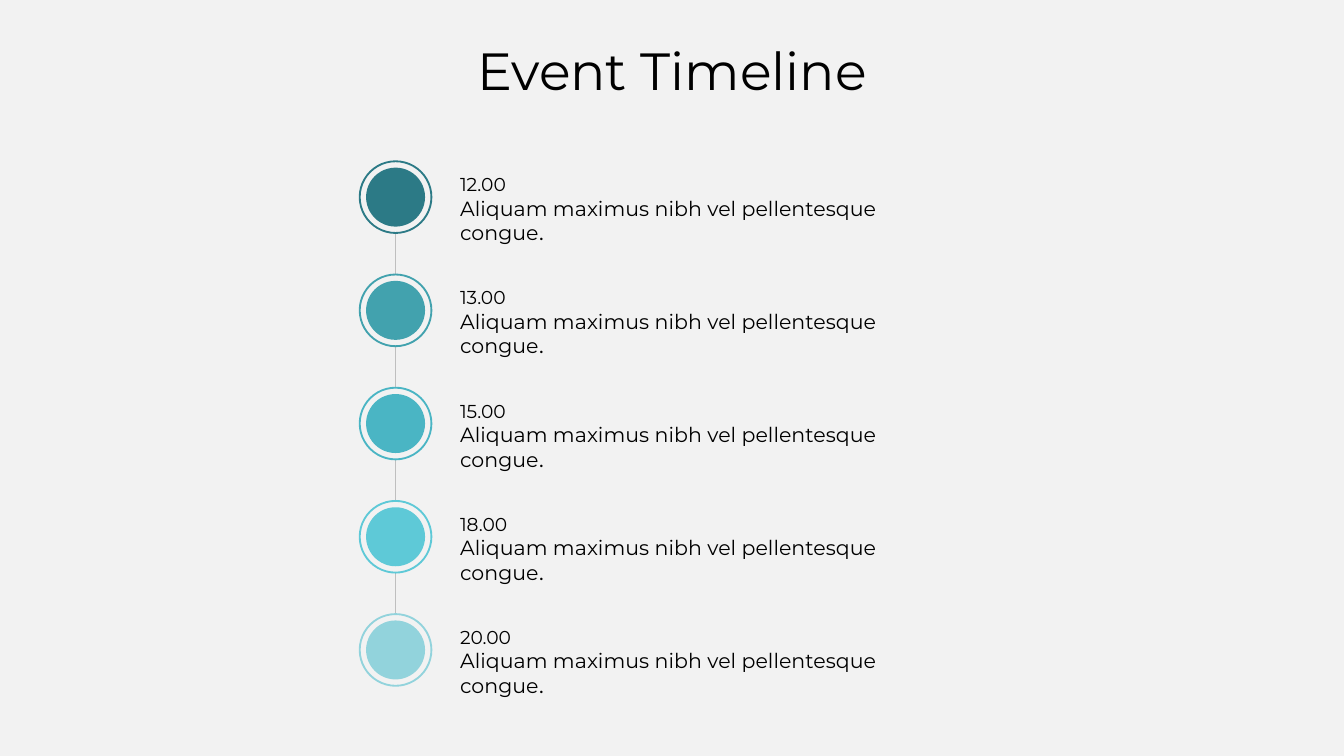
import pptx
import pptx.dml.color
import pptx.enum.shapes
import pptx.enum.text
import pptx.oxml.ns
import pptx.util
from dataclasses import dataclass
from lxml import etree

Pt = pptx.util.Pt
Color = pptx.dml.color.RGBColor.from_string
Shapes = pptx.enum.shapes
Text = pptx.enum.text


@dataclass(frozen=True)
class Theme:
    background: str = "F2F2F2"
    ink: str = "000000"
    connector: str = "BFBFBF"
    font: str = "Montserrat"
    stop_font: str = "Calibri"
    title_size: float = 28
    time_size: float = 10
    body_size: float = 11


theme = Theme()
events = [
    ("12.00", "2C7A86"),
    ("13.00", "42A2AE"),
    ("15.00", "4AB5C4"),
    ("18.00", "5EC9D7"),
    ("20.00", "92D3DC"),
]
description = "Aliquam maximus nibh vel pellentesque congue"

axis_x = 211.9
first_y = 105.6
pitch = 60.65
ring_size = 38.4
disc_size = 31.6


def add_span(para, text, size, font=theme.font):
    span = para.add_run()
    span.text = text
    for name, value in {"size": Pt(size), "name": font}.items():
        setattr(span.font, name, value)
    span.font.color.rgb = Color(theme.ink)


def add_circle(center_y, size):
    """Add a shadowless circle centred on the timeline axis."""
    circle = page.shapes.add_shape(
        Shapes.MSO_SHAPE.OVAL,
        Pt(axis_x - size / 2), Pt(center_y - size / 2), Pt(size), Pt(size))
    circle.shadow.inherit = False
    return circle


deck = pptx.Presentation()
deck.slide_width, deck.slide_height = Pt(720), Pt(405)
page = deck.slides.add_slide(deck.slide_layouts[6])
page.background.fill.solid()
page.background.fill.fore_color.rgb = Color(theme.background)

# Title
title = page.shapes.add_textbox(Pt(49.7), Pt(0), Pt(620.6), Pt(78.5))
title_format = {"word_wrap": True, "vertical_anchor": Text.MSO_ANCHOR.MIDDLE}
for name, value in title_format.items():
    setattr(title.text_frame, name, value)
para = title.text_frame.paragraphs[0]
for name, value in {"alignment": Text.PP_ALIGN.CENTER, "line_spacing": 0.9}.items():
    setattr(para, name, value)
add_span(para, "Event Timeline", theme.title_size)

# Connectors between neighbouring rings
for index in range(len(events) - 1):
    start_y = first_y + index * pitch + ring_size / 2
    end_y = start_y + pitch - ring_size
    connector = page.shapes.add_connector(
        Shapes.MSO_CONNECTOR.STRAIGHT,
        Pt(axis_x), Pt(start_y), Pt(axis_x), Pt(end_y))
    connector.line.color.rgb = Color(theme.connector)
    connector.line.width = Pt(0.5)
    etree.SubElement(connector.element.spPr, pptx.oxml.ns.qn("a:effectLst"))

# Events
event_format = {"word_wrap": True, "auto_size": Text.MSO_AUTO_SIZE.SHAPE_TO_FIT_TEXT}
for index, (time, color) in enumerate(events):
    center_y = first_y + index * pitch

    ring = add_circle(center_y, ring_size)
    ring.fill.background()
    ring.line.color.rgb = Color(color)
    ring.line.width = Pt(1)

    box = page.shapes.add_textbox(Pt(239.4), Pt(center_y - 16.4), Pt(283.4), Pt(32.4))
    for name, value in event_format.items():
        setattr(box.text_frame, name, value)
    add_span(box.text_frame.paragraphs[0], time, theme.time_size)
    para = box.text_frame.add_paragraph()
    add_span(para, description, theme.body_size)
    add_span(para, ".", theme.body_size, theme.stop_font)

    disc = add_circle(center_y, disc_size)
    disc.fill.solid()
    disc.fill.fore_color.rgb = Color(color)
    disc.line.fill.background()

deck.save("out.pptx")
